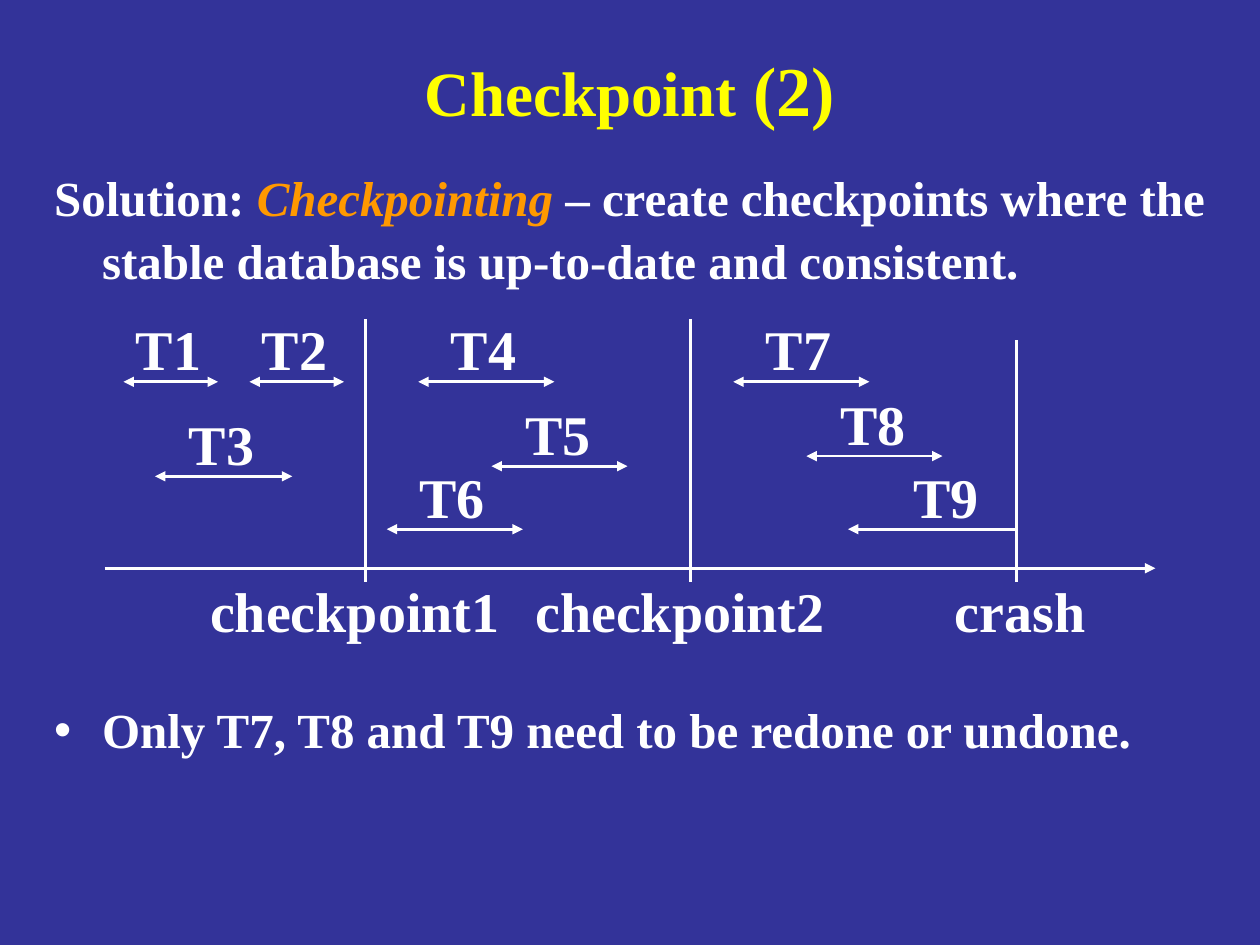
from lxml import etree
from pptx import Presentation
from pptx.dml.color import RGBColor
from pptx.enum.shapes import MSO_CONNECTOR
from pptx.enum.text import MSO_ANCHOR, MSO_AUTO_SIZE, PP_ALIGN
from pptx.oxml.ns import qn
from pptx.util import Inches, Pt

# Content
FONT = "Times New Roman"
NAVY, YELLOW, ORANGE, WHITE = "333399", "FFFF00", "FF9900", "FFFFFF"

TITLE = [("Checkpoint", {"size": 36}), (" (2)", {"size": 40})]
SOLUTION = [
    ("Solution: ", {}),
    ("Checkpointing", {"color": ORANGE, "italic": True}),
    (" – create checkpoints where the stable database is up-to-date "
     "and consistent.", {}),
]
CONCLUSION = [("Only T7, T8 and T9 need to be redone or undone.", {})]

CRASH_X = 8.07
# Event: label, x, top of the mark, label width
EVENTS = [
    ("checkpoint1", 2.9, 2.53, 2.5),
    ("checkpoint2", 5.48, 2.53, 2.5),
    ("crash", CRASH_X, 2.7, 1.24),
]
# Transaction: label, start, end, y, left of label
TRANSACTIONS = [
    ("T1", 0.98, 1.73, 3.03, 0.98),
    ("T2", 1.98, 2.73, 3.03, 1.98),
    ("T3", 1.23, 2.32, 3.78, 1.4),
    ("T4", 3.32, 4.4, 3.03, 3.48),
    ("T5", 3.9, 4.98, 3.7, 4.07),
    ("T6", 3.07, 4.15, 4.2, 3.23),
    ("T7", 5.82, 6.9, 3.03, 5.98),
    ("T8", 6.4, 7.48, 3.62, 6.57),
    ("T9", 6.73, CRASH_X, 4.2, 7.15),
]
AXIS_LEFT, AXIS_RIGHT, AXIS_Y = 0.83, 9.17, 4.51
MARK_BOTTOM = 4.62
LABEL_HEIGHT, LABEL_RISE = 0.64, 0.58


def rgb(value):
    return RGBColor.from_string(value)


def write(paragraph, runs, size, color=WHITE):
    for text, changes in runs:
        style = {"size": size, "color": color, "italic": False, **changes}
        run = paragraph.add_run()
        run.text = text
        run.font.color.rgb = rgb(style["color"])
        values = {"name": FONT, "size": Pt(style["size"]), "bold": True,
                  "italic": style["italic"]}
        for key, value in values.items():
            setattr(run.font, key, value)


def place(shape, left, top, width, height):
    for key, value in {"left": left, "top": top,
                       "width": width, "height": height}.items():
        setattr(shape, key, Inches(value))


def add_label(slide, text, left, top, width):
    box = slide.shapes.add_textbox(
        *map(Inches, (left, top, width, LABEL_HEIGHT)))
    box.text_frame.word_wrap = False
    box.text_frame.auto_size = MSO_AUTO_SIZE.SHAPE_TO_FIT_TEXT
    write(box.text_frame.paragraphs[0], [(text, {})], 32)


def add_line(slide, x1, y1, x2, y2, arrows=()):
    connector = slide.shapes.add_connector(
        MSO_CONNECTOR.STRAIGHT, *map(Inches, (x1, y1, x2, y2)))
    connector.line.color.rgb = rgb(WHITE)
    connector.line.width = Pt(1.5)
    outline = connector.line._get_or_add_ln()
    for end in arrows:
        etree.SubElement(outline, qn(f"a:{end}"), type="triangle")
    etree.SubElement(connector._element.spPr, qn("a:effectLst"))


def set_bullet(paragraph, char=None):
    properties = paragraph._p.get_or_add_pPr()
    properties.set("marL", str(Inches(0.38)))
    properties.set("indent", str(-Inches(0.38)))
    if char is None:
        etree.SubElement(properties, qn("a:buNone"))
        return
    color = etree.SubElement(properties, qn("a:buClr"))
    etree.SubElement(color, qn("a:srgbClr"), val=WHITE)
    etree.SubElement(properties, qn("a:buChar"), char=char)


def main():
    deck = Presentation()
    deck.slide_width, deck.slide_height = Inches(10), Inches(7.5)
    slide = deck.slides.add_slide(deck.slide_layouts[1])
    slide.background.fill.solid()
    slide.background.fill.fore_color.rgb = rgb(NAVY)

    # Title
    title = slide.shapes.title
    place(title, 0.75, 0.33, 8.5, 0.75)
    title.text_frame.auto_size = MSO_AUTO_SIZE.NONE
    title.text_frame.vertical_anchor = MSO_ANCHOR.MIDDLE
    heading = title.text_frame.paragraphs[0]
    heading.alignment = PP_ALIGN.CENTER
    write(heading, TITLE, 36, YELLOW)

    # Body: the space before the conclusion leaves room for the timeline
    body = slide.placeholders[1]
    place(body, 0.33, 1.25, 9.36, 6.08)
    frame = body.text_frame
    frame.auto_size = MSO_AUTO_SIZE.NONE
    solution, conclusion = frame.paragraphs[0], frame.add_paragraph()
    for paragraph, runs, gap, bullet in [(solution, SOLUTION, 0, None),
                                         (conclusion, CONCLUSION, 232, "•")]:
        paragraph.line_spacing = 1.07
        paragraph.space_before = Pt(gap)
        set_bullet(paragraph, bullet)
        write(paragraph, runs, 28)

    # Time axis with checkpoints and crash
    add_line(slide, AXIS_LEFT, AXIS_Y, AXIS_RIGHT, AXIS_Y, ["tailEnd"])
    for name, x, top, width in EVENTS:
        add_line(slide, x, top, x, MARK_BOTTOM)
        shift = 0.59 if x == CRASH_X else 1.33
        add_label(slide, name, x - shift, AXIS_Y + 0.02, width)

    # Transactions: one cut off by the crash has no arrowhead there
    for name, start, end, y, label_left in TRANSACTIONS:
        arrows = ["headEnd"] if end == CRASH_X else ["headEnd", "tailEnd"]
        add_line(slide, start, y, end, y, arrows)
        add_label(slide, name, label_left, y - LABEL_RISE, 0.72)

    deck.save("out.pptx")


if __name__ == "__main__":
    main()
